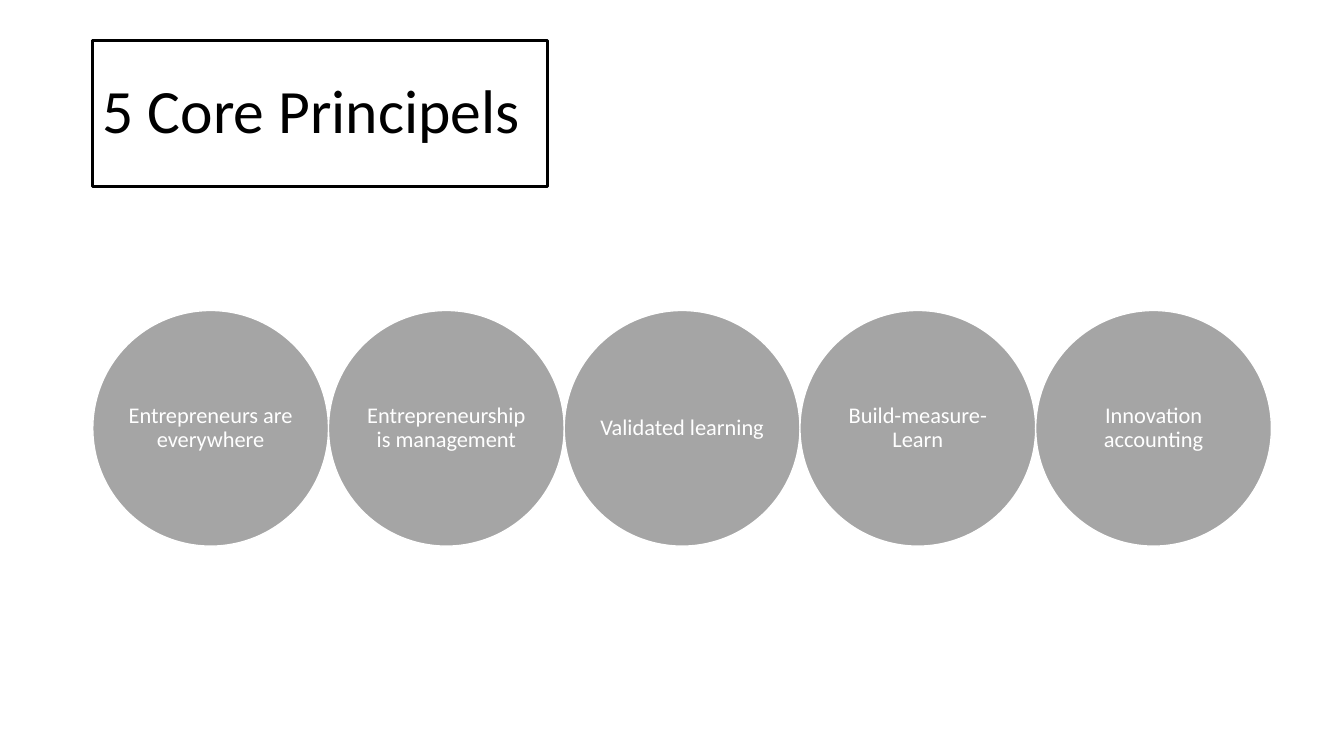
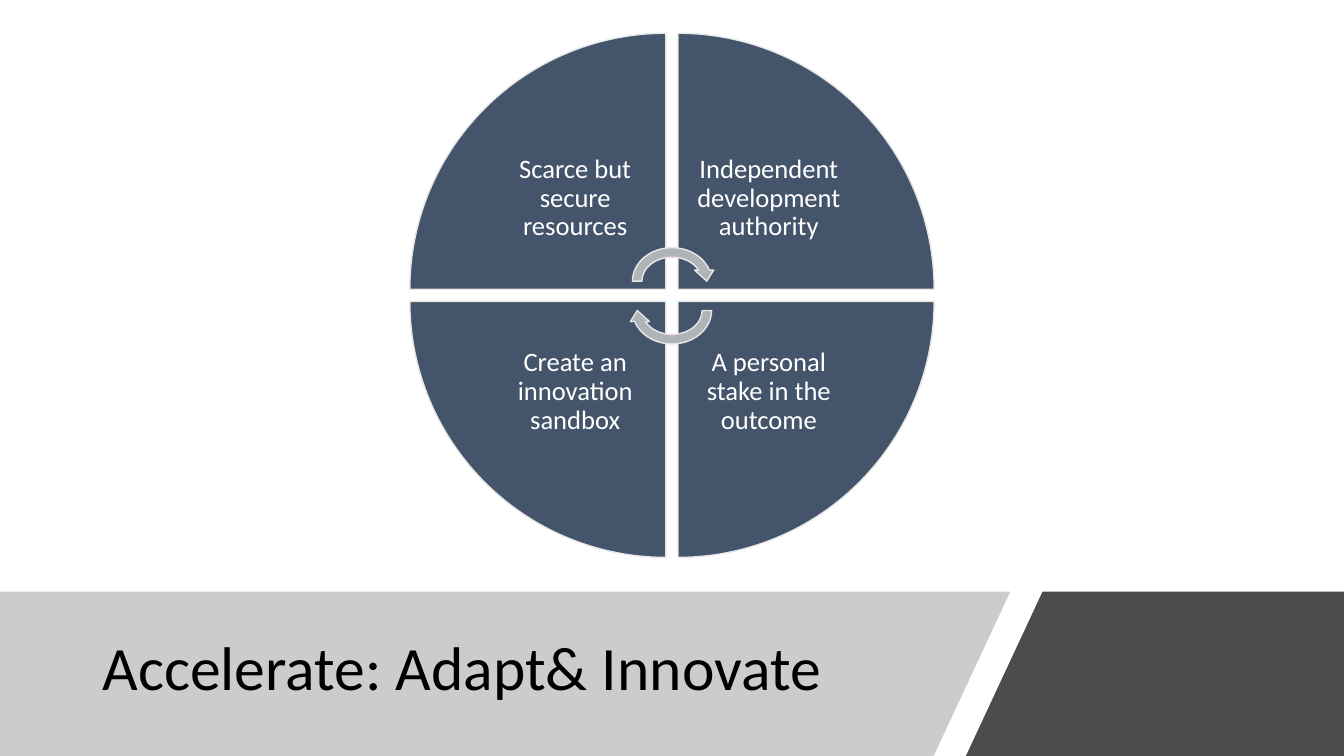
"""Build two slides: five principles in a row and a four-part innovation wheel."""
from lxml.etree import SubElement
from pptx import Presentation
from pptx.dml.color import RGBColor
from pptx.enum.shapes import MSO_SHAPE
from pptx.enum.text import MSO_ANCHOR, PP_ALIGN
from pptx.oxml.ns import qn
from pptx.util import Inches, Pt

FONT = "Calibri"
BLACK, WHITE = "000000", "FFFFFF"
CIRCLE_GREY, BAND_GREY = "A5A5A5", "808080"
WEDGE_BLUE, WEDGE_LINE, ARROW_GREY = "44546A", "E7E6E6", "B0B4B9"
WIDTH, HEIGHT = 13.33, 7.5
MARGIN = 0.92


def finish(shape, fill, line=None):
    shape.shadow.inherit = False
    shape.fill.solid()
    shape.fill.fore_color.rgb = RGBColor.from_string(fill)
    if line:
        shape.line.color.rgb = RGBColor.from_string(line)
        shape.line.width = Pt(1)
    else:
        shape.line.fill.background()


def write(page, place, text, size, color, align=PP_ALIGN.CENTER, inset=None):
    box = page.shapes.add_textbox(*map(Inches, place))
    frame = box.text_frame
    frame.text = text
    frame.word_wrap = True
    frame.vertical_anchor = MSO_ANCHOR.MIDDLE
    if inset is not None:
        frame.margin_left = frame.margin_right = Inches(inset)
        frame.margin_top = frame.margin_bottom = Inches(inset)
    para = frame.paragraphs[0]
    para.alignment = align
    para.line_spacing = 0.9
    span = para.runs[0]
    span.font.name = FONT
    span.font.size = Pt(size)
    span.font.color.rgb = RGBColor.from_string(color)
    return box


deck = Presentation()
deck.slide_width, deck.slide_height = Inches(WIDTH), Inches(HEIGHT)
blank = deck.slide_layouts[6]

principles_page = deck.slides.add_slide(blank)
title = write(principles_page, (MARGIN, 0.4, 4.51, 1.45), "5 Core Principels",
              44, BLACK, PP_ALIGN.LEFT)
title.line.color.rgb = RGBColor.from_string(BLACK)
title.line.width = Pt(2)

principles = ["Entrepreneurs are everywhere", "Entrepreneurship is management",
              "Validated learning", "Build-measure-Learn", "Innovation accounting"]
diameter = 11.69 / len(principles)
circle_top = 3.08
label_side = 1.65
label_offset = (diameter - label_side) / 2
for column, principle in enumerate(principles):
    left = MARGIN + column * diameter
    circle = principles_page.shapes.add_shape(
        MSO_SHAPE.OVAL, *map(Inches, (left, circle_top, diameter, diameter)))
    finish(circle, CIRCLE_GREY, WHITE)
    write(principles_page,
          (left + label_offset, circle_top + label_offset, label_side, label_side),
          principle, 16, WHITE, inset=0)

wheel_page = deck.slides.add_slide(blank)
band_top = 5.87
bands = [
    ([(0, band_top), (10.02, band_top), (9.26, HEIGHT), (0, HEIGHT)], BAND_GREY, 40),
    ([(10.34, band_top), (WIDTH, band_top), (WIDTH, HEIGHT), (9.58, HEIGHT)], BLACK, 70),
]
for corners, color, opacity in bands:
    points = [(Inches(x), Inches(y)) for x, y in corners]
    builder = wheel_page.shapes.build_freeform(*points[0])
    builder.add_line_segments(points[1:], close=True)
    band = builder.convert_to_shape()
    finish(band, color)
    band_color = band.element.xpath("./p:spPr/a:solidFill/a:srgbClr")[0]
    SubElement(band_color, qn("a:alpha")).set("val", str(opacity * 1000))

write(wheel_page, (MARGIN, 6.05, 8.44, 1.2), "Accelerate: Adapt& Innovate",
      44, BLACK, PP_ALIGN.LEFT)

center_x, center_y = WIDTH / 2, 2.93
half_gap = 0.06
radius, label_side = 2.54, 1.8
quarters = [
    ("Scarce but secure resources", 0, 0),
    ("Independent development authority", 1, 0),
    ("A personal stake in the outcome", 1, 1),
    ("Create an innovation sandbox", 0, 1),
]
for turn, (label, column, row) in enumerate(quarters):
    wedge_place, label_place = [
        (center_x + (half_gap if column else -half_gap - side),
         center_y + (half_gap if row else -half_gap - side), side, side)
        for side in (radius, label_side)]
    wedge = wheel_page.shapes.add_shape(MSO_SHAPE.PIE_WEDGE, *map(Inches, wedge_place))
    wedge.rotation = turn * 90
    finish(wedge, WEDGE_BLUE, WEDGE_LINE)
    write(wheel_page, label_place, label, 19, WHITE, inset=0.15)

arrow_width, arrow_height = 0.88, 0.76
for top, rotation in [(2.41, 0), (2.7, 180)]:
    arrow = wheel_page.shapes.add_shape(
        MSO_SHAPE.CIRCULAR_ARROW,
        *map(Inches, (center_x - arrow_width / 2, top, arrow_width, arrow_height)))
    arrow.rotation = rotation
    finish(arrow, ARROW_GREY, WEDGE_LINE)

deck.save("out.pptx")
